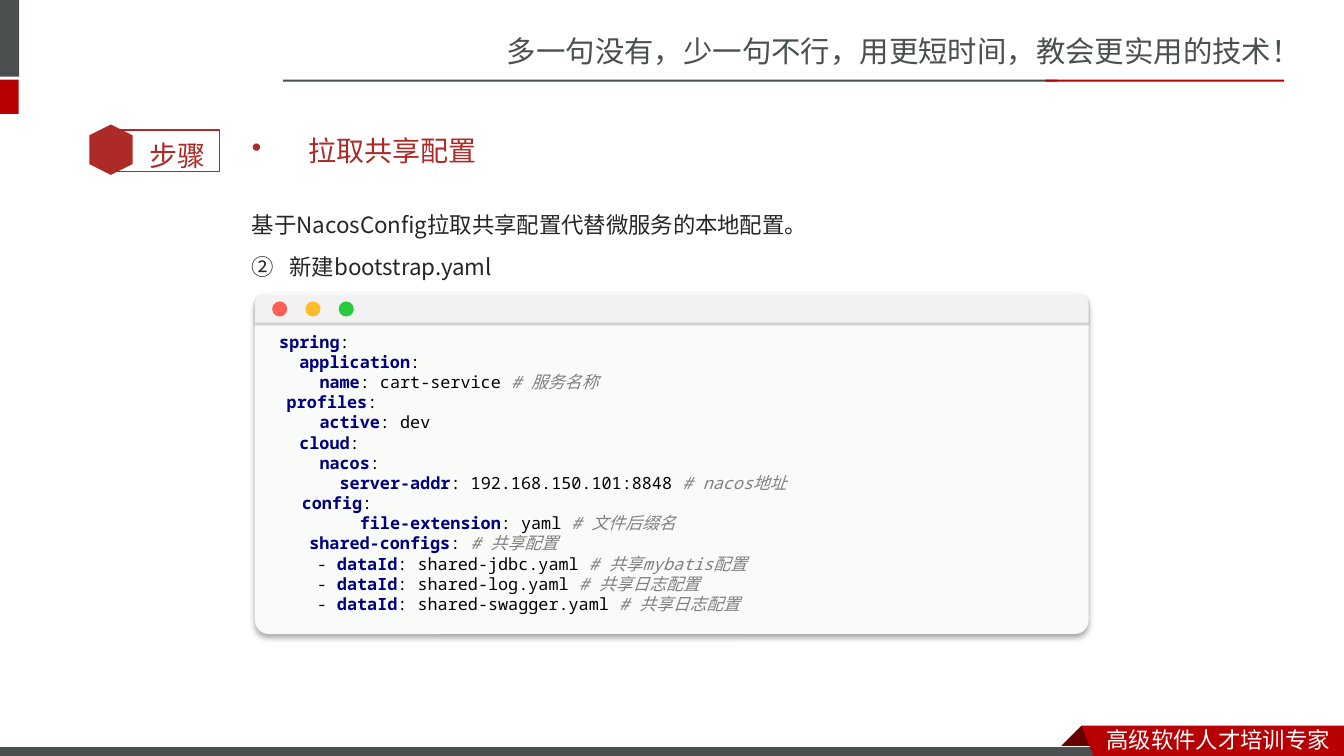
from copy import deepcopy
from dataclasses import dataclass
from itertools import groupby

from lxml.etree import SubElement
from pptx import Presentation
from pptx.dml.color import RGBColor
from pptx.enum.shapes import MSO_SHAPE
from pptx.enum.text import MSO_ANCHOR
from pptx.oxml.ns import qn
from pptx.util import Inches, Pt

COLUMNS, ROWS = 160, 90
CELL = Inches(1) / 12  # both grid directions share one square cell


@dataclass(frozen=True)
class Theme:
    slate: str = "49504F"
    red: str = "B60004"
    fold: str = "680000"
    brick: str = "AD2B26"
    heading: str = "AD2A26"
    ink: str = "262626"
    white: str = "FFFFFF"
    panel: str = "F9FBF9"
    title_bar: str = "F2F2F2"
    shadow: str = "000000"
    lights: tuple = ("FF5F56", "FFBD2E", "27C93F")
    code_key: str = "000080"
    code_plain: str = "000000"
    code_note: str = "808080"
    slogan_size: float = 21
    heading_size: float = 20
    body_size: float = 16
    code_size: float = 12
    chinese: str = "Noto Sans CJK SC"
    body_font: str = "Noto Sans CJK JP"
    heading_font: str = "Arial"
    label_font: str = "Roboto"
    code_font: str = "Noto Sans Mono"
    note_font: str = "Courier New"


def apply(target, values):
    for name, value in values.items():
        setattr(target, name, value)


def cells(*values):
    return [round(value * CELL) for value in values]


class SlideBuilder:
    def __init__(self, deck, theme):
        self.theme = theme
        self.page = deck.slides.add_slide(deck.slide_layouts[6])

    def paint(self, shape, fill, line=None, line_width=1, shadow=None):
        shape.shadow.inherit = False
        if fill:
            shape.fill.solid()
            shape.fill.fore_color.rgb = RGBColor.from_string(fill)
        else:
            shape.fill.background()
        if line:
            shape.line.color.rgb = RGBColor.from_string(line)
            shape.line.width = Pt(line_width)
        else:
            shape.line.fill.background()
        if shadow:
            opacity, blur, distance = shadow
            effects = shape._element.spPr.find(qn("a:effectLst"))
            outer = SubElement(effects, qn("a:outerShdw"), blurRad=str(Pt(blur)),
                               dist=str(Pt(distance)), dir="5400000",
                               algn="t", rotWithShape="0")
            color = SubElement(outer, qn("a:srgbClr"), val=self.theme.shadow)
            SubElement(color, qn("a:alpha"), val=str(opacity * 1000))
        return shape

    def shape(self, kind, place, fill, adjust=(), rotation=0, **look):
        shape = self.page.shapes.add_shape(kind, *cells(*place))
        shape.rotation = rotation
        for index, value in enumerate(adjust):
            shape.adjustments[index] = value
        return self.paint(shape, fill, **look)

    def outline(self, points, fill):
        start, *rest = [cells(*point) for point in points]
        builder = self.page.shapes.build_freeform(*start)
        builder.add_line_segments(rest, close=True)
        return self.paint(builder.convert_to_shape(), fill)

    def span(self, para, text, font, size, color, bold=False, italic=False):
        span = para.add_run()
        span.text = text
        apply(span.font, {"name": font, "size": Pt(size), "bold": bold, "italic": italic})
        span.font.color.rgb = RGBColor.from_string(color)
        SubElement(span.font._element, qn("a:ea"), typeface=self.theme.chinese)
        return span

    def box(self, place, **frame_values):
        frame = self.page.shapes.add_textbox(*cells(*place)).text_frame
        apply(frame, {"word_wrap": True, **frame_values})
        return frame.paragraphs[0]

    def text(self, place, text, font, size, color, spacing=None,
             bullet=None, hanging=0, anchor=MSO_ANCHOR.TOP):
        para = self.box(place, vertical_anchor=anchor)
        if bullet:
            tag, values = bullet
            properties = para._p.get_or_add_pPr()
            indent = cells(hanging)[0]
            properties.set("marL", str(indent))
            properties.set("indent", str(-indent))
            SubElement(properties, qn(tag), **values)
        para.line_spacing = spacing
        self.span(para, text, font, size, color)

    def code(self, place, lines):
        theme = self.theme
        margin = cells(2.88)[0]
        para = self.box(place, margin_left=margin, margin_right=margin)
        plain = (theme.code_font, theme.code_size, theme.code_plain)
        key_style = (theme.code_font, theme.code_size, theme.code_key, True)
        latin_note = (theme.code_font, theme.code_size, theme.code_note, False, True)
        chinese_note = (theme.note_font, *latin_note[1:])
        last, last_style = None, plain
        for indent, marker, key, value, note in lines:
            if last:
                para.add_line_break()
                para._p[-1].append(deepcopy(last.font._element))
            # an indent carries on the style of the line above
            pieces = [(" " * indent, last_style), (marker, plain),
                      (key, key_style), (value, plain)]
            for wide, letters in groupby(note, lambda letter: ord(letter) > 127):
                pieces.append(("".join(letters), chinese_note if wide else latin_note))
            for text, style in pieces:
                if text:
                    last, last_style = self.span(para, text, *style), style


CODE = [
    (0, "", "spring", ":", ""),
    (2, "", "application", ":", ""),
    (4, "", "name", ": cart-service ", "# 服务名称"),
    (2, "", "profiles", ":", ""),
    (4, "", "active", ": dev", ""),
    (2, "", "cloud", ":", ""),
    (4, "", "nacos", ":", ""),
    (6, "", "server-addr", ": 192.168.150.101:8848 ", "# nacos地址"),
    (6, "", "config", ":", ""),
    (8, "", "file-extension", ": yaml ", "# 文件后缀名"),
    (8, "", "shared-configs", ": ", "# 共享配置"),
    (10, "- ", "dataId", ": shared-jdbc.yaml ", "# 共享mybatis配置"),
    (10, "- ", "dataId", ": shared-log.yaml ", "# 共享日志配置"),
    (10, "- ", "dataId", ": shared-swagger.yaml ", "# 共享日志配置"),
]


def main():
    deck = Presentation()
    apply(deck, {"slide_width": round(COLUMNS * CELL), "slide_height": round(ROWS * CELL)})
    theme = Theme()
    slide = SlideBuilder(deck, theme)
    rectangle = MSO_SHAPE.RECTANGLE

    # Header
    slide.text((59.16, 3.36, 100.92, 5.64), "多一句没有，少一句不行，用更短时间，教会更实用的技术！",
               theme.chinese, theme.slogan_size, theme.slate)
    for place, color in [((-0.72, 0, 3, 9.12), theme.slate),
                         ((-0.72, 9.48, 2.94, 4.08), theme.red),
                         ((33.72, 9.48, 92.16, 0.24), theme.slate),
                         ((124.44, 9.48, 28.44, 0.24), theme.red)]:
        slide.shape(rectangle, place, color)

    # Footer ribbon
    corner = (128.76, 86.4)
    slide.outline([corner, (131.4, 89.04), (131.28, 89.16),
                   (126.24, 89.16), (126.12, 89.04)], theme.fold)
    slide.shape(rectangle, (-0.12, 88.92, 132, 1.44), theme.slate,
                line=theme.white, line_width=0.75)
    slide.outline([corner, (COLUMNS, 86.4), (COLUMNS, 90.48), (130.32, 90.36)], theme.red)
    slide.text((130.56, 85.8, 29.4, 4.44), "高级软件人才培训专家",
               theme.chinese, theme.body_size, theme.white)

    # Step badge
    slide.shape(rectangle, (13.08, 15.48, 13.08, 4.92), None, line=theme.brick)
    slide.shape(MSO_SHAPE.HEXAGON, (10.2, 15.24, 6, 5.16), theme.brick, rotation=90)
    slide.text((16.56, 13.92, 10.2, 6.72), "步骤", theme.label_font,
               theme.heading_size, theme.brick, spacing=1.5)

    # Heading and introduction
    slide.text((28.8, 14.52, 120.96, 6.84), "拉取共享配置", theme.heading_font,
               theme.heading_size, theme.heading, hanging=6.75,
               bullet=("a:buChar", {"char": "•"}), anchor=MSO_ANCHOR.MIDDLE)
    slide.text((28.8, 22.92, 120.96, 5.28), "基于NacosConfig拉取共享配置代替微服务的本地配置。",
               theme.body_font, theme.body_size, theme.ink, spacing=1.5)

    # Code window
    slide.shape(MSO_SHAPE.ROUNDED_RECTANGLE, (30.36, 34.92, 99.24, 40.56), theme.panel,
                adjust=[0.04], shadow=(34, 4, 3))
    slide.code((30.36, 38.88, 97.92, 35.16), CODE)
    slide.shape(MSO_SHAPE.ROUND_2_SAME_RECTANGLE, (30.36, 35.16, 99.24, 3.24),
                theme.title_bar, adjust=[0.3, 0], shadow=(20, 1, 1))
    for index, color in enumerate(theme.lights):
        slide.shape(MSO_SHAPE.OVAL, (32.4 + 3.96 * index, 35.88, 1.8, 1.8), color)

    # Numbered step
    slide.text((28.8, 27.96, 100.8, 6.48), "新建bootstrap.yaml", theme.body_font,
               theme.body_size, theme.ink, spacing=1.5, hanging=4.5,
               bullet=("a:buAutoNum", {"type": "circleNumDbPlain", "startAt": "2"}))

    deck.save("out.pptx")


if __name__ == "__main__":
    main()
